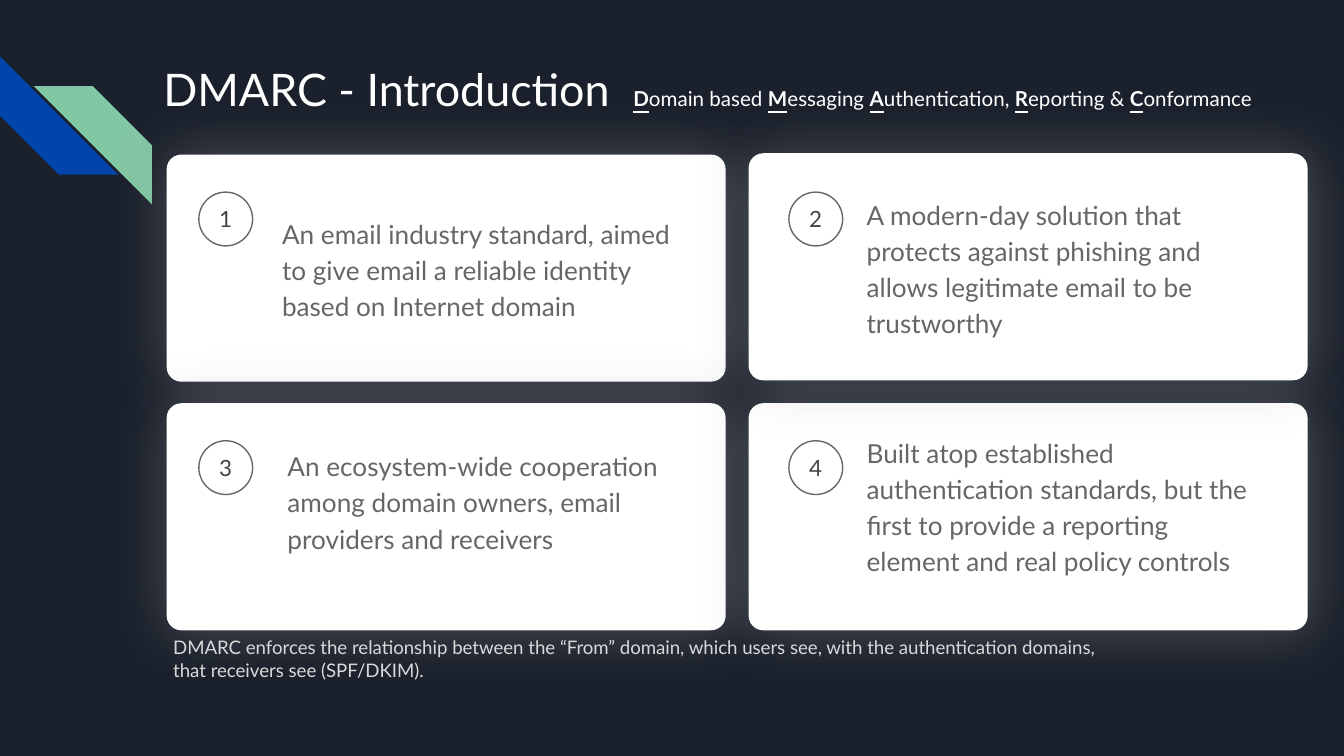
"""Build the DMARC introduction slide: four numbered cards on a dark background."""
from dataclasses import dataclass

from lxml import etree
from pptx import Presentation
from pptx.dml.color import RGBColor
from pptx.enum.shapes import MSO_SHAPE
from pptx.enum.text import MSO_ANCHOR, PP_ALIGN
from pptx.oxml.ns import qn
from pptx.util import Inches, Pt


@dataclass(frozen=True)
class Theme:
    font: str = "Lato"
    background: str = "1B212C"
    blue: str = "0145AC"
    green: str = "82C7A5"
    white: str = "FFFFFF"
    shadow: str = "999999"
    body: str = "666666"
    number: str = "434343"
    note: str = "D9D9D9"
    title_size: int = 24
    subtitle_size: int = 11
    body_size: int = 14
    number_size: int = 12
    note_size: int = 10


theme = Theme()


def add_box(shapes, preset, at, fill=None):
    box = [Inches(v) for v in at]
    s = shapes.add_shape(preset, *box) if preset else shapes.add_textbox(*box)
    if preset:
        s.shadow.inherit = False
        s.line.fill.background()
        if fill:
            s.fill.solid()
            s.fill.fore_color.rgb = RGBColor.from_string(fill)
        else:
            s.fill.background()
    frame = dict.fromkeys(
        ("margin_left", "margin_top", "margin_right", "margin_bottom"), Inches(0.1))
    frame["word_wrap"] = True
    for name, value in frame.items():
        setattr(s.text_frame, name, value)
    return s


def add_run(p, text, size, color, **style):
    r = p.add_run()
    r.text = text
    font = {"name": theme.font, "size": Pt(size), **style}
    for name, value in font.items():
        setattr(r.font, name, value)
    r.font.color.rgb = RGBColor.from_string(color)
    return r


prs = Presentation()
prs.slide_width, prs.slide_height = Inches(10), Inches(10 * 9 / 16)
slide = prs.slides.add_slide(prs.slide_layouts[6])
slide.background.fill.solid()
slide.background.fill.fore_color.rgb = RGBColor.from_string(theme.background)
shapes = slide.shapes

blue_stripe = add_box(shapes, MSO_SHAPE.DIAGONAL_STRIPE, (0, 0.42, 0.88, 0.88), theme.blue)
blue_stripe.rotation = 270
green_stripe = add_box(shapes, MSO_SHAPE.DIAGONAL_STRIPE, (0.25, 0.64, 0.88, 0.88), theme.green)
green_stripe._element.spPr.find(qn("a:xfrm")).set("flipH", "1")

for left, top in ((1.24, 1.15), (1.24, 3), (5.57, 3), (5.57, 1.14)):
    s = add_box(shapes, MSO_SHAPE.ROUNDED_RECTANGLE, (left, top, 4.16, 1.69), theme.white)
    s.adjustments[0] = 0.065
    effects = s._element.spPr.find(qn("a:effectLst"))
    shadow = etree.SubElement(effects, qn("a:outerShdw"), blurRad=str(Pt(31)),
                              dist=str(Pt(0.8)), dir="0", algn="ctr", rotWithShape="0")
    color = etree.SubElement(shadow, qn("a:srgbClr"), val=theme.shadow)
    etree.SubElement(color, qn("a:alpha"), val="39400")

p = add_box(shapes, None, (0.53, 0.36, 9.47, 0.64)).text_frame.paragraphs[0]
p.alignment = PP_ALIGN.CENTER
add_run(p, "DMARC - Introduction", theme.title_size, theme.white)
gap = add_run(p, " ", theme.title_size, theme.white)
gap.font._element.set("spc", "650")
for phrase in ("Domain based ", "Messaging ", "Authentication, ", "Reporting & ", "Conformance"):
    add_run(p, phrase[0], theme.subtitle_size, theme.white, bold=True, underline=True)
    add_run(p, phrase[1:], theme.subtitle_size, theme.white)

points = (
    ((2, 1.27, 3.25, 1.44), MSO_ANCHOR.MIDDLE,
     "An email industry standard, aimed to give email a reliable identity "
     "based on Internet domain"),
    ((6.35, 1.46, 3.26, 1.05), MSO_ANCHOR.MIDDLE,
     "A modern-day solution that protects against phishing and allows "
     "legitimate email to be trustworthy"),
    ((2.04, 3.22, 3.18, 1.23), MSO_ANCHOR.TOP,
     "An ecosystem-wide cooperation among domain owners, email providers "
     "and receivers"),
    ((6.35, 3.12, 3.18, 1.44), MSO_ANCHOR.TOP,
     "Built atop established authentication standards, but the first to "
     "provide a reporting element and real policy controls"),
)
for i, (at, anchor, text) in enumerate(points):
    tf = add_box(shapes, None, at).text_frame
    tf.vertical_anchor = anchor
    p = tf.paragraphs[0]
    p.line_spacing, p.space_after = 1.15, Pt(16)
    add_run(p, text, theme.body_size, theme.body)

    row, column = divmod(i, 2)
    s = add_box(shapes, MSO_SHAPE.OVAL, (1.48 + 4.39 * column, 1.43 + 1.85 * row, 0.4, 0.4))
    s.line.color.rgb = RGBColor.from_string(theme.body)
    s.line.width = Pt(0.75)
    tf = s.text_frame
    tf.word_wrap = False
    tf.vertical_anchor = MSO_ANCHOR.MIDDLE
    p = tf.paragraphs[0]
    p.alignment = PP_ALIGN.CENTER
    add_run(p, str(i + 1), theme.number_size, theme.number)

tf = add_box(shapes, None, (1.19, 4.64, 7.21, 0.52)).text_frame
tf.vertical_anchor = MSO_ANCHOR.MIDDLE
add_run(tf.paragraphs[0],
        "DMARC enforces the relationship between the “From” domain, which users see, "
        "with the authentication domains, that receivers see (SPF/DKIM).",
        theme.note_size, theme.note)

prs.save("out.pptx")
